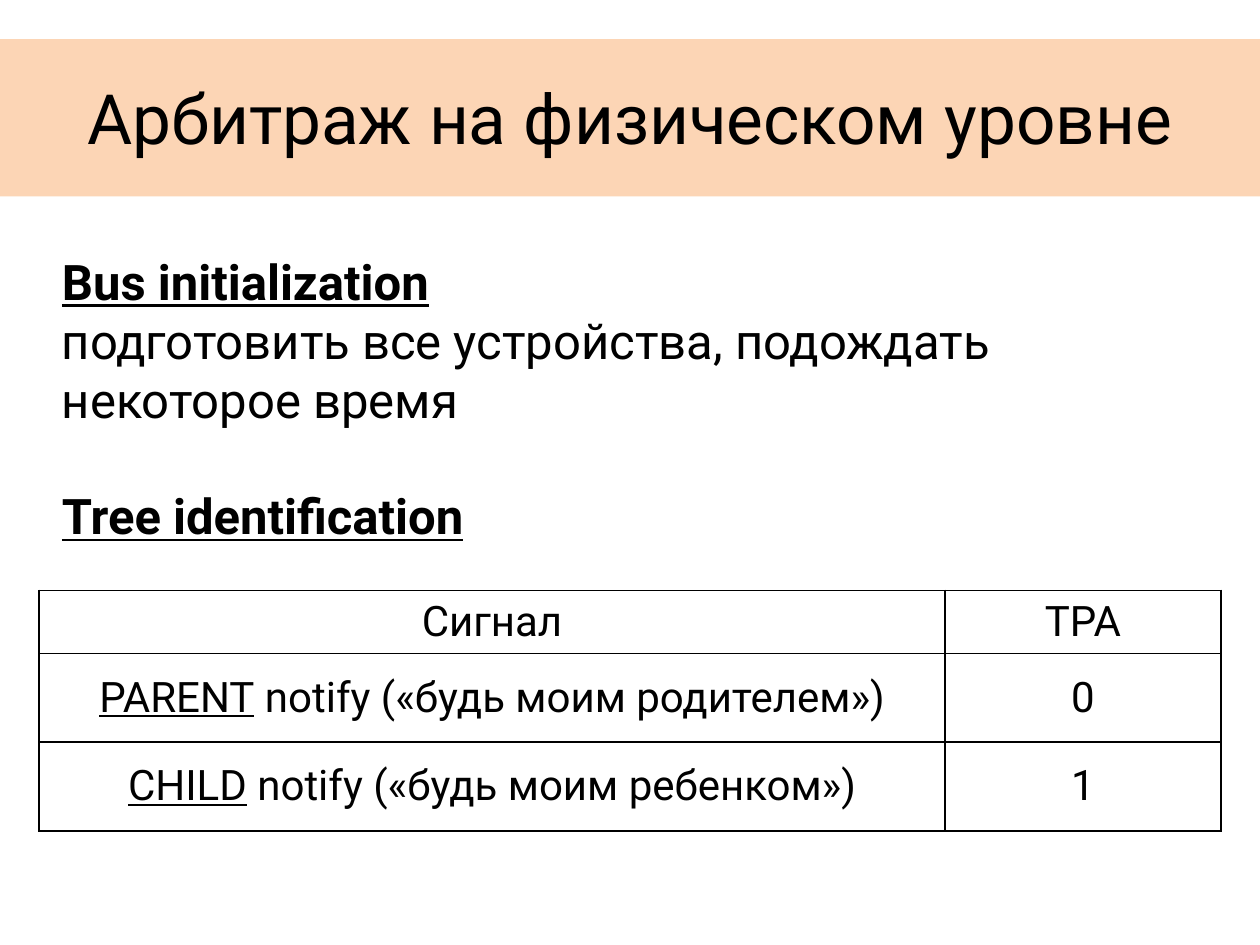
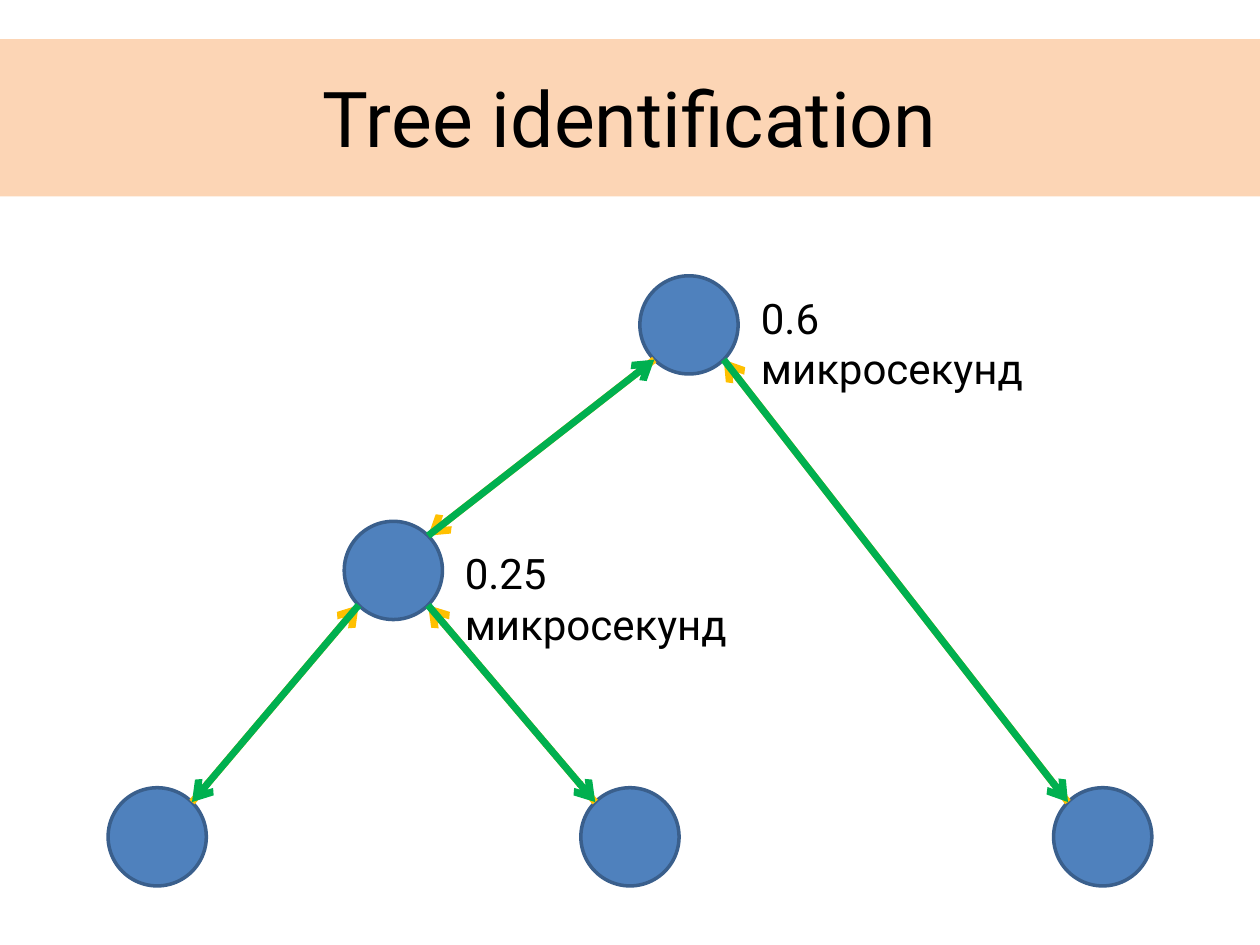
from math import copysign, sqrt

from lxml import etree
from pptx import Presentation
from pptx.dml.color import RGBColor
from pptx.enum import shapes, text
from pptx.oxml import ns
from pptx.util import Cm, Pt

FONT = "Roboto"
COLORS = {
    "text": "000000",
    "band": "FCD5B5",
    "node": "4F81BD",
    "node_edge": "3A5F8C",
    "to_parent": "FFC000",
    "to_child": "00B050",
}


def style(para, size, align=text.PP_ALIGN.LEFT):
    para.alignment = align
    para.font.name = FONT
    para.font.size = Pt(size)
    para.font.color.rgb = RGBColor.from_string(COLORS["text"])


def add_page(deck, title, size):
    """Add a blank page with the title band and a centred title."""
    page = deck.slides.add_slide(deck.slide_layouts[6])
    band = page.shapes.add_shape(
        shapes.MSO_SHAPE.RECTANGLE, 0, Cm(0.79), deck.slide_width, Cm(3.17))
    band.shadow.inherit = False
    band.fill.solid()
    band.fill.fore_color.rgb = RGBColor.from_string(COLORS["band"])
    band.line.fill.background()
    box = page.shapes.add_textbox(Cm(0.79), Cm(0.77), Cm(23.82), Cm(3.17))
    box.text_frame.word_wrap = True
    box.text_frame.vertical_anchor = text.MSO_ANCHOR.MIDDLE
    para = box.text_frame.paragraphs[0]
    para.text = title
    style(para, size, text.PP_ALIGN.CENTER)
    return page


deck = Presentation()
deck.slide_width, deck.slide_height = Cm(25.4), Cm(19.05)

# Page 1: arbitration phases
page = add_page(deck, "Арбитраж на физическом уровне", 39.6)
box = page.shapes.add_textbox(Cm(1), Cm(4.95), Cm(23.4), Cm(6.25))
frame = box.text_frame
frame.word_wrap = True
phases = [
    ("Bus initialization", True, 0),
    ("подготовить все устройства, подождать некоторое время", False, 0),
    ("Tree identification", True, 33),
]
for index, (line, heading, gap) in enumerate(phases):
    para = frame.add_paragraph() if index else frame.paragraphs[0]
    para.text = line
    style(para, 28)
    para.font.bold = para.font.underline = heading
    para.space_before = Pt(gap)

# Signal table: each cell is an underlined part and a plain part
rows = [
    [("", "Сигнал"), ("", "TPA")],
    [("PARENT", " notify («будь моим родителем»)"), ("", "0")],
    [("CHILD", " notify («будь моим ребенком»)"), ("", "1")],
]
table = page.shapes.add_table(
    3, 2, Cm(0.79), Cm(11.9), Cm(23.82), Cm(4.85)).table
table.first_row = table.horz_banding = False
for column, width in zip(table.columns, (18.26, 5.56)):
    column.width = Cm(width)
for row, height in zip(table.rows, (1.27, 1.79, 1.79)):
    row.height = Cm(height)
for row, row_texts in zip(table.rows, rows):
    for cell, (underlined, plain) in zip(row.cells, row_texts):
        cell.vertical_anchor = text.MSO_ANCHOR.MIDDLE
        para = cell.text_frame.paragraphs[0]
        style(para, 24, text.PP_ALIGN.CENTER)
        if underlined:
            span = para.add_run()
            span.text = underlined
            span.font.underline = True
        para.add_run().text = plain
        cell.fill.background()
        # Borders come before the fill in the cell properties
        properties = cell._tc.get_or_add_tcPr()
        for position, side in enumerate(("lnL", "lnR", "lnT", "lnB")):
            border = etree.Element(ns.qn("a:" + side), w=str(Pt(1)))
            fill = etree.SubElement(border, ns.qn("a:solidFill"))
            etree.SubElement(fill, ns.qn("a:srgbClr"), val=COLORS["text"])
            properties.insert(position, border)

# Page 2: tree of devices, nodes given by their centres
page = add_page(deck, "Tree identification", 44)
diameter = 1.98
root, hub = (13.89, 6.55), (7.93, 11.5)
leaves = [(3.17 + 9.53 * index, 16.87) for index in range(3)]
for x, y in [root, hub] + leaves:
    node = page.shapes.add_shape(
        shapes.MSO_SHAPE.OVAL, Cm(x - diameter / 2), Cm(y - diameter / 2),
        Cm(diameter), Cm(diameter))
    node.shadow.inherit = False
    node.fill.solid()
    node.fill.fore_color.rgb = RGBColor.from_string(COLORS["node"])
    node.line.color.rgb = RGBColor.from_string(COLORS["node_edge"])
    node.line.width = Pt(2)

# Arrows run both ways between the diagonal points of two circles
links = [(hub, leaves[0]), (hub, leaves[1]), (root, leaves[2]), (hub, root)]
signals = [("to_parent", (end, start)) for start, end in links]
signals += [("to_child", link) for link in links]
reach = diameter / 2 / sqrt(2)
for color, ((x1, y1), (x2, y2)) in signals:
    dx, dy = copysign(reach, x2 - x1), copysign(reach, y2 - y1)
    arrow = page.shapes.add_connector(
        shapes.MSO_CONNECTOR.STRAIGHT,
        Cm(x1 + dx), Cm(y1 + dy), Cm(x2 - dx), Cm(y2 - dy))
    arrow.line.color.rgb = RGBColor.from_string(COLORS[color])
    arrow.line.width = Pt(4)
    etree.SubElement(arrow.line._get_or_add_ln(), ns.qn("a:tailEnd"), type="arrow")
    etree.SubElement(arrow._element.spPr, ns.qn("a:effectLst"))

# Delay labels
for label, x, y, width in [
    ("0.25 микросекунд", 9.12, 10.92, 7.4),
    ("0.6 микросекунд", 15.09, 5.77, 6.9),
]:
    box = page.shapes.add_textbox(Cm(x), Cm(y), Cm(width), Cm(1.27))
    box.text_frame.word_wrap = True
    para = box.text_frame.paragraphs[0]
    para.text = label
    style(para, 24)

deck.save("out.pptx")
